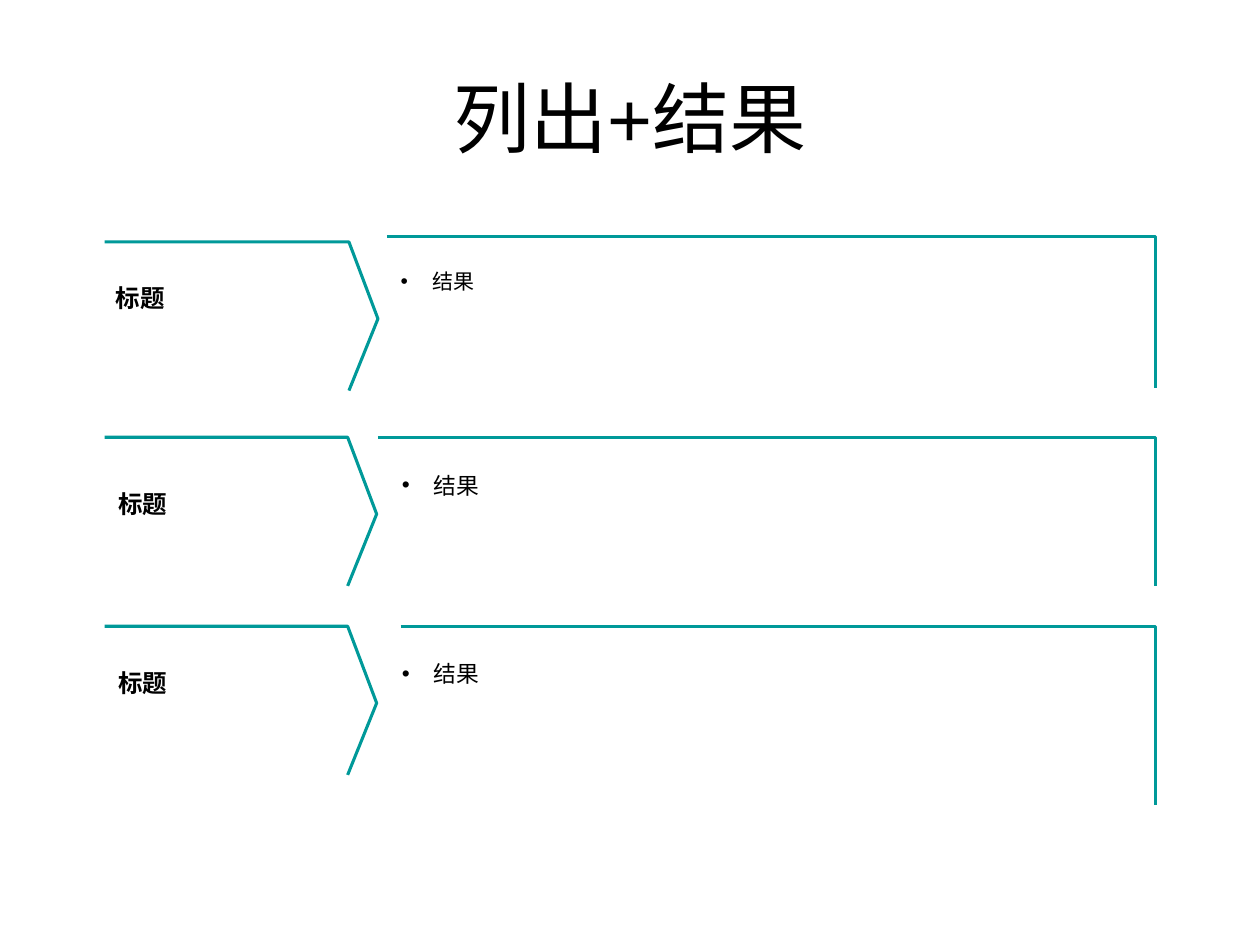
"""Build a slide listing three headings, each with its result."""
import pptx
import pptx.dml.color
import pptx.enum.text
import pptx.oxml.ns
import pptx.util
import lxml.etree

Inches = pptx.util.Inches
TEAL = pptx.dml.color.RGBColor(0x00, 0x99, 0x99)
BLACK = pptx.dml.color.RGBColor(0x00, 0x00, 0x00)


def add_outline(page, points):
    corners = [(Inches(x), Inches(y)) for x, y in points]
    builder = page.shapes.build_freeform(*corners[0])
    builder.add_line_segments(corners[1:], close=False)
    outline = builder.convert_to_shape()
    outline.shadow.inherit = False
    outline.fill.background()
    outline.line.color.rgb = TEAL
    outline.line.width = pptx.util.Pt(1.75)


def add_label(page, words, position, size, bold=False):
    box = page.shapes.add_textbox(*(Inches(length) for length in position))
    frame = box.text_frame
    frame.word_wrap = True
    frame.margin_left = frame.margin_right = 0
    frame.margin_top = frame.margin_bottom = 0
    frame.text = words
    para = frame.paragraphs[0]
    font = para.runs[0].font
    font.name = "Arial"
    font.size = pptx.util.Pt(size)
    font.bold = bold
    font.color.rgb = BLACK
    return para


deck = pptx.Presentation()
deck.slide_width = Inches(10)
deck.slide_height = Inches(7.5)
page = deck.slides.add_slide(deck.slide_layouts[5])

title = page.shapes.title
title.left, title.top = Inches(0.5), Inches(0.3)
title.width, title.height = Inches(9), Inches(1.25)
title.text_frame.text = "列出+结果"
title.text_frame.vertical_anchor = pptx.enum.text.MSO_ANCHOR.MIDDLE
title_para = title.text_frame.paragraphs[0]
title_para.alignment = pptx.enum.text.PP_ALIGN.CENTER
title_font = title_para.runs[0].font
title_font.name = "Arial"
title_font.size = pptx.util.Pt(44)
title_font.color.rgb = BLACK

rows = [
    {"arrow": (2.77, 1.92), "bracket": (3.07, 1.88, 3.08),
     "heading": (0.92, 2.25, 1.52, 0.23),
     "result": (3.18, 2.13, 5.98, 0.74), "size": 12, "spacing": 1.0},
    {"arrow": (2.76, 3.47), "bracket": (3.0, 3.47, 4.65),
     "heading": (0.94, 3.88, 1.72, 0.23),
     "result": (3.19, 3.74, 5.98, 0.22), "size": 13, "spacing": 1.0},
    {"arrow": (2.76, 4.97), "bracket": (3.18, 4.97, 6.39),
     "heading": (0.94, 5.3, 1.52, 0.23),
     "result": (3.19, 5.13, 5.98, 0.33), "size": 13, "spacing": 1.5},
]

for row in rows:
    shoulder, top = row["arrow"]
    add_outline(page, [(0.83, top), (shoulder, top),
                       (shoulder + 0.23, top + 0.61), (shoulder, top + 1.18)])
    left, top, bottom = row["bracket"]
    add_outline(page, [(left, top), (9.17, top), (9.17, bottom)])

    add_label(page, "标题", row["heading"], 14, bold=True)
    para = add_label(page, "结果", row["result"], row["size"])
    para.line_spacing = row["spacing"]
    properties = para._p.get_or_add_pPr()
    properties.set("marL", str(Inches(0.25)))
    properties.set("indent", str(Inches(-0.25)))
    bullet_font = lxml.etree.SubElement(properties, pptx.oxml.ns.qn("a:buFont"))
    bullet_font.set("typeface", "Arial")
    bullet = lxml.etree.SubElement(properties, pptx.oxml.ns.qn("a:buChar"))
    bullet.set("char", "•")

deck.save("out.pptx")
